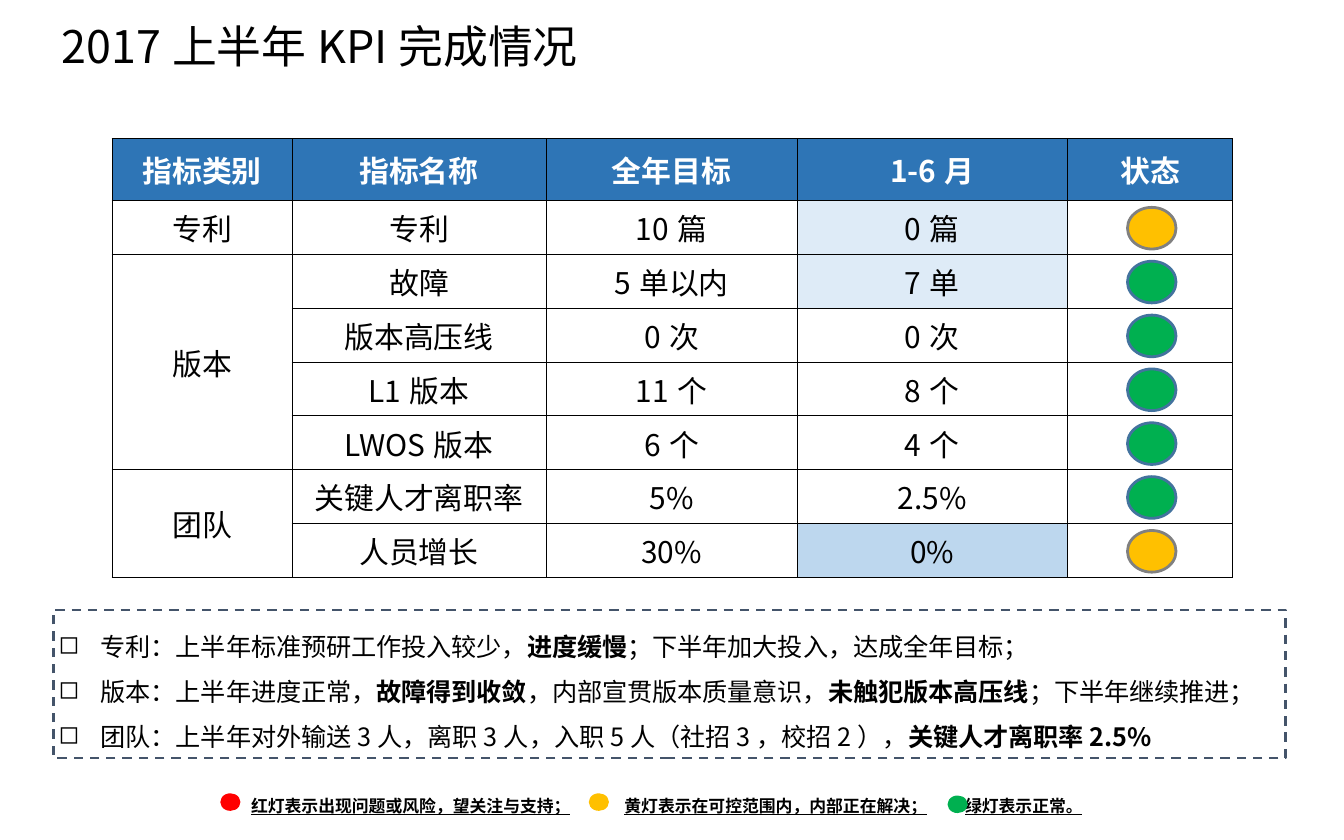
import pptx
import pptx.dml.color
import pptx.enum.dml
import pptx.enum.shapes
import pptx.enum.text
import pptx.oxml
import pptx.oxml.ns
import pptx.util
from lxml import etree

Pt = pptx.util.Pt
TYPEFACE = "Noto Sans CJK SC"
BLACK, WHITE = "000000", "FFFFFF"
RED, YELLOW, GREEN = "FF0000", "FFC000", "00B050"
HEADER_BLUE, PALE_BLUE, LIGHT_BLUE = "2E75B6", "DEEBF7", "BDD7EE"
LIGHT_OUTLINES = {GREEN: "43739E", YELLOW: "808080"}

TABLE_LEFT, TABLE_TOP = 60, 74.2
HEADER_HEIGHT, ROW_HEIGHT = 33.2, 28.85
COLUMN_WIDTHS = [96.5, 136, 134.5, 145, 88.5]
KPI_ROWS = [
    ["指标类别", "指标名称", "全年目标", "1-6月", "状态"],
    ["专利", "专利", "10篇", "0篇", ""],
    ["版本", "故障", "5单以内", "7单", ""],
    ["", "版本高压线", "0次", "0次", ""],
    ["", "L1版本", "11个", "8个", ""],
    ["", "LWOS版本", "6个", "4个", ""],
    ["团队", "关键人才离职率", "5%", "2.5%", ""],
    ["", "人员增长", "30%", "0%", ""],
]
CATEGORY_SPANS = [(2, 5), (6, 7)]
HIGHLIGHTS = {(1, 3): PALE_BLUE, (2, 3): PALE_BLUE, (7, 3): LIGHT_BLUE}
STATUSES = [YELLOW, GREEN, GREEN, GREEN, GREEN, GREEN, YELLOW]

# Each remark alternates plain and bold parts.
REMARKS = [
    ["专利：上半年标准预研工作投入较少，", "进度缓慢", "；下半年加大投入，达成全年目标；"],
    ["版本：上半年进度正常，", "故障得到收敛", "，内部宣贯版本质量意识，",
     "未触犯版本高压线", "；下半年继续推进；"],
    ["团队：上半年对外输送3人，离职3人，入职5人（社招3，校招2），", "关键人才离职率2.5%"],
]
LEGEND = ["红灯表示出现问题或风险，望关注与支持；",
          "黄灯表示在可控范围内，内部正在解决；", "绿灯表示正常。"]
LEGEND_TABS = [200, 382.5]
LEGEND_LIGHTS = [(118, 425, RED), (315.4, 425, YELLOW), (507.6, 426.2, GREEN)]


def rgb(code):
    return pptx.dml.color.RGBColor.from_string(code)


def points(*lengths):
    return [Pt(length) for length in lengths]


def apply(target, values):
    for name, value in values.items():
        setattr(target, name, value)


def set_margins(target, side, top, bottom):
    apply(target, {"margin_left": Pt(side), "margin_right": Pt(side),
                   "margin_top": Pt(top), "margin_bottom": Pt(bottom)})


def add_run(paragraph, text, size, color=BLACK, **styles):
    run = paragraph.add_run()
    run.text = text
    apply(run.font, {"size": Pt(size), "name": TYPEFACE, **styles})
    run.font.color.rgb = rgb(color)
    east_asian = etree.SubElement(run._r.get_or_add_rPr(), pptx.oxml.ns.qn("a:ea"))
    east_asian.set("typeface", TYPEFACE)


def add_title(slide):
    title = slide.shapes.title
    apply(title, dict(zip(("left", "top", "width", "height"),
                          points(26, 9.4, 620.6, 45.4))))
    apply(title.text_frame, {"word_wrap": True,
                             "auto_size": pptx.enum.text.MSO_AUTO_SIZE.NONE,
                             "vertical_anchor": pptx.enum.text.MSO_ANCHOR.TOP})
    heading = title.text_frame.paragraphs[0]
    apply(heading, {"alignment": pptx.enum.text.PP_ALIGN.LEFT, "line_spacing": 0.9})
    add_run(heading, "2017上半年KPI完成情况", 24)


def add_borders(cell):
    properties = cell._tc.get_or_add_tcPr()
    for side in ("lnL", "lnR", "lnT", "lnB"):
        properties.append(pptx.oxml.parse_xml(
            f'<a:{side} {pptx.oxml.ns.nsdecls("a")} w="{Pt(0.5)}"><a:solidFill>'
            f'<a:srgbClr val="{BLACK}"/></a:solidFill></a:{side}>'))


def format_cell(cell, text, fill, **styles):
    add_borders(cell)
    cell.fill.solid()
    cell.fill.fore_color.rgb = rgb(fill)
    set_margins(cell, 2.9, 0.4, 0)
    cell.vertical_anchor = pptx.enum.text.MSO_ANCHOR.MIDDLE
    paragraph = cell.text_frame.paragraphs[0]
    paragraph.alignment = pptx.enum.text.PP_ALIGN.CENTER
    if text:
        add_run(paragraph, text, 16, **styles)


def add_kpi_table(slide):
    heights = [HEADER_HEIGHT] + [ROW_HEIGHT] * (len(KPI_ROWS) - 1)
    kpi = slide.shapes.add_table(
        len(KPI_ROWS), len(COLUMN_WIDTHS),
        *points(TABLE_LEFT, TABLE_TOP, sum(COLUMN_WIDTHS), sum(heights))).table
    apply(kpi, {"first_row": False, "horz_banding": False})
    for column, width in zip(kpi.columns, COLUMN_WIDTHS):
        column.width = Pt(width)
    for row, height in zip(kpi.rows, heights):
        row.height = Pt(height)
    for r, texts in enumerate(KPI_ROWS):
        for c, text in enumerate(texts):
            if r == 0:
                format_cell(kpi.cell(r, c), text, HEADER_BLUE, color=WHITE, bold=True)
            else:
                format_cell(kpi.cell(r, c), text, HIGHLIGHTS.get((r, c), WHITE), bold=False)
    for first, last in CATEGORY_SPANS:
        kpi.cell(first, 0).merge(kpi.cell(last, 0))


def add_light(slide, left, top, width, height, color, outline=None):
    light = slide.shapes.add_shape(pptx.enum.shapes.MSO_SHAPE.OVAL,
                                   *points(left, top, width, height))
    light.shadow.inherit = False
    light.fill.solid()
    light.fill.fore_color.rgb = rgb(color)
    if outline:
        light.line.color.rgb = rgb(outline)
        light.line.width = Pt(1.5)
    else:
        light.line.fill.background()


def add_status_lights(slide):
    first_top = TABLE_TOP + HEADER_HEIGHT + 3.7
    for index, color in enumerate(STATUSES):
        add_light(slide, 604, first_top + index * ROW_HEIGHT, 26, 22.3,
                  color, LIGHT_OUTLINES[color])


def add_bullet(paragraph):
    properties = paragraph._p.get_or_add_pPr()
    properties.set("marL", str(Pt(22.5)))
    properties.set("indent", str(-Pt(22.5)))
    etree.SubElement(properties, pptx.oxml.ns.qn("a:buChar")).set("char", "◻")


def add_remarks(slide):
    remarks = slide.shapes.add_shape(pptx.enum.shapes.MSO_SHAPE.RECTANGLE,
                                     *points(28.6, 326.9, 660.2, 79.2))
    remarks.shadow.inherit = False
    remarks.fill.background()
    remarks.line.color.rgb = rgb("44546A")
    apply(remarks.line, {"width": Pt(1.25),
                         "dash_style": pptx.enum.dml.MSO_LINE.DASH})
    frame = remarks.text_frame
    set_margins(frame, 2.9, 2.9, 2.9)
    apply(frame, {"word_wrap": True,
                  "vertical_anchor": pptx.enum.text.MSO_ANCHOR.MIDDLE})
    for index, parts in enumerate(REMARKS):
        paragraph = frame.add_paragraph() if index else frame.paragraphs[0]
        add_bullet(paragraph)
        apply(paragraph, {"alignment": pptx.enum.text.PP_ALIGN.LEFT, "line_spacing": 1.5})
        for position, part in enumerate(parts):
            add_run(paragraph, part, 13.5, bold=position % 2 == 1)


def add_legend(slide):
    legend = slide.shapes.add_textbox(*points(127.4, 422.6, 495.4, 18))
    legend.text_frame.word_wrap = True
    paragraph = legend.text_frame.paragraphs[0]
    tabs = etree.SubElement(paragraph._p.get_or_add_pPr(), pptx.oxml.ns.qn("a:tabLst"))
    for position in LEGEND_TABS:
        tab = etree.SubElement(tabs, pptx.oxml.ns.qn("a:tab"))
        tab.set("pos", str(Pt(position)))
        tab.set("algn", "l")
    add_run(paragraph, "\t".join(LEGEND), 9, bold=True, underline=True)
    for left, top, color in LEGEND_LIGHTS:
        add_light(slide, left, top, 10.8, 9.4, color)


def main():
    deck = pptx.Presentation()
    apply(deck, {"slide_width": Pt(720), "slide_height": Pt(450)})
    slide = deck.slides.add_slide(deck.slide_layouts.get_by_name("Title Only"))
    add_title(slide)
    add_kpi_table(slide)
    add_status_lights(slide)
    add_remarks(slide)
    add_legend(slide)
    deck.save("out.pptx")


if __name__ == "__main__":
    main()
